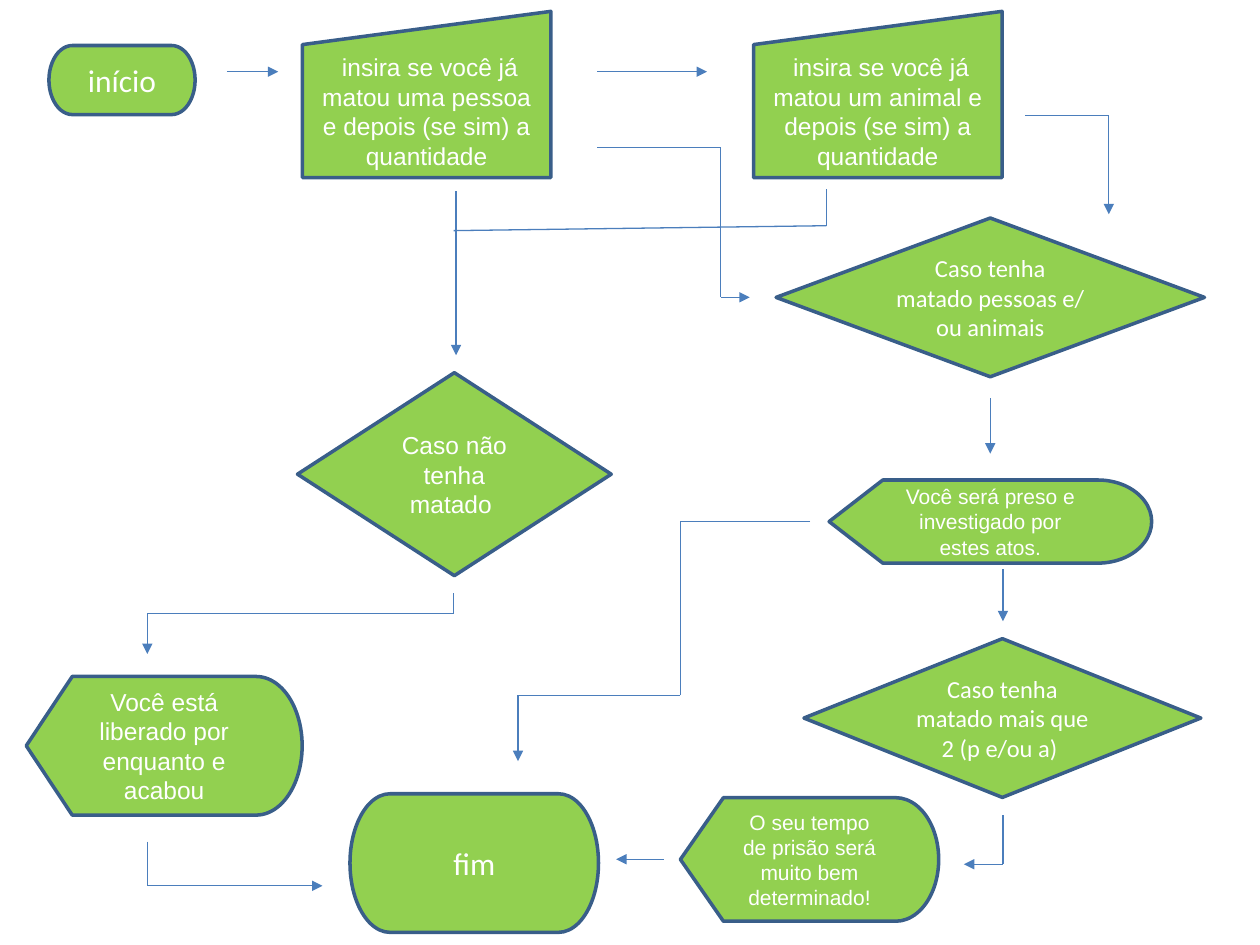
from itertools import pairwise

from lxml.etree import SubElement
from pptx import Presentation
from pptx.dml.color import RGBColor
from pptx.enum.shapes import MSO_CONNECTOR as Connector, MSO_SHAPE as Shape
from pptx.enum.text import MSO_ANCHOR as Anchor, PP_ALIGN as Align
from pptx.oxml.ns import qn
from pptx.util import Pt

GREEN = RGBColor(0x92, 0xD0, 0x50)
NAVY = RGBColor(0x39, 0x5E, 0x89)
BLUE = RGBColor(0x4B, 0x7E, 0xBC)
WHITE = RGBColor(0xFF, 0xFF, 0xFF)

FRAME = {
    "word_wrap": True,
    "vertical_anchor": Anchor.MIDDLE,
    "margin_left": Pt(7.2),
    "margin_right": Pt(7.2),
    "margin_top": Pt(3.6),
    "margin_bottom": Pt(3.6),
}
TERMINAL = {"name": "Calibri", "size": Pt(18)}
QUESTION = {"name": "Calibri", "size": Pt(14)}
STEP = {"name": "Arial", "size": Pt(14)}
VERDICT = {"name": "Arial", "size": Pt(12)}


def apply(target, values):
    """Set each attribute in values on the target."""
    for key, value in values.items():
        setattr(target, key, value)


def add_node(slide, origin, kind, box, words, font):
    """Place one flowchart symbol at a box relative to the origin."""
    left, top, width, height = box
    node = slide.shapes.add_shape(
        kind, Pt(origin[0] + left), Pt(origin[1] + top), Pt(width), Pt(height)
    )
    node.shadow.inherit = False
    node.fill.solid()
    node.fill.fore_color.rgb = GREEN
    node.line.color.rgb = NAVY
    node.line.width = Pt(2)
    apply(node.text_frame, FRAME)
    paragraph = node.text_frame.paragraphs[0]
    paragraph.alignment = Align.CENTER
    run = paragraph.add_run()
    run.text = words
    apply(run.font, font)
    run.font.color.rgb = WHITE


def add_route(slide, origin, points, arrow=True):
    """Join points with straight segments, ending in an arrow if asked."""
    left, top = origin
    for (x1, y1), (x2, y2) in pairwise(points):
        segment = slide.shapes.add_connector(
            Connector.STRAIGHT,
            Pt(left + x1), Pt(top + y1), Pt(left + x2), Pt(top + y2),
        )
        segment.line.color.rgb = BLUE
        segment.line.width = Pt(0.75)
        properties = segment._element.spPr
        SubElement(properties, qn("a:effectLst"))
        if arrow and (x2, y2) == points[-1]:
            SubElement(properties.find(qn("a:ln")), qn("a:tailEnd"), type="triangle")


def draw_questions(slide, origin):
    """Draw the start and the two inputs in a row."""
    add_node(slide, origin, Shape.FLOWCHART_TERMINATOR, (0, 19.5, 83.5, 39.5),
             "início", TERMINAL)
    for left, victim in ((144.8, "uma pessoa"), (402.6, "um animal")):
        add_node(slide, origin, Shape.FLOWCHART_MANUAL_INPUT, (left, 0, 142, 95),
                 f" insira se você já matou {victim} e depois (se sim) a quantidade",
                 STEP)
    for start, end in ((101.6, 131), (313.3, 376)):
        add_route(slide, origin, [(start, 34.5), (end, 34.5)])


def draw_release(slide, origin):
    """Draw the branch for those who have not killed."""
    add_node(slide, origin, Shape.FLOWCHART_DECISION, (155, 105, 179.3, 116),
             "Caso não tenha matado ", STEP)
    add_node(slide, origin, Shape.FLOWCHART_DISPLAY, (0, 278.6, 157.7, 79.2),
             "Você está liberado por enquanto e acabou", STEP)
    add_route(slide, origin, [(457.3, 0), (457.3, 21), (244.2, 23.8)], arrow=False)
    for points in (
        [(245.6, 1.4), (245.6, 95)],
        [(244.2, 231), (244.2, 242.6), (69.2, 242.6), (69.2, 265.7)],
        [(69.2, 373), (69.2, 398.2), (169.3, 398.2)],
    ):
        add_route(slide, origin, points)


def draw_arrest(slide, origin):
    """Draw the branch for those who have killed."""
    for kind, box, words, font in (
        (Shape.FLOWCHART_DECISION, (147.5, 58.6, 244.8, 90.7),
         "Caso tenha matado pessoas e/ ou animais", QUESTION),
        (Shape.FLOWCHART_DISPLAY, (177.8, 208.3, 184.3, 47.5),
         "Você será preso e investigado por estes atos.", VERDICT),
        (Shape.FLOWCHART_DECISION, (163.4, 299, 226.8, 90.7),
         "Caso tenha matado mais que 2 (p e/ou a) ", QUESTION),
        (Shape.FLOWCHART_DISPLAY, (92.8, 389.8, 147.6, 70.6),
         "O seu tempo de prisão será muito bem determinado!", VERDICT),
    ):
        add_node(slide, origin, kind, box, words, font)
    for points in (
        [(45.3, 18.2), (115.8, 18.2), (115.8, 103.9), (132.4, 103.9)],
        [(290, 0.2), (337.6, 0.2), (337.6, 56.4)],
        [(269.9, 161.5), (269.9, 193.2)],
        [(277.1, 259.4), (277.1, 289)],
        [(167, 232), (92.8, 232), (92.8, 331.4), (0, 331.4), (0, 368.9)],
        [(277.1, 399.8), (277.1, 427.9), (254.8, 427.9)],
        [(83.4, 425), (56.1, 425)],
    ):
        add_route(slide, origin, points)


def draw_end(slide, origin):
    """Draw the end symbol."""
    add_node(slide, origin, Shape.FLOWCHART_TERMINATOR, (0, 0, 142, 79.2),
             "fim", TERMINAL)


def main():
    """Build the flowchart slide and save it."""
    deck = Presentation()
    apply(deck, {"slide_width": Pt(720), "slide_height": Pt(540)})
    slide = deck.slides.add_slide(deck.slide_layouts[6])
    draw_questions(slide, (28, 6.5))
    draw_release(slide, (15, 108))
    draw_arrest(slide, (296, 66))
    draw_end(slide, (200, 453.6))
    deck.save("out.pptx")


if __name__ == "__main__":
    main()
